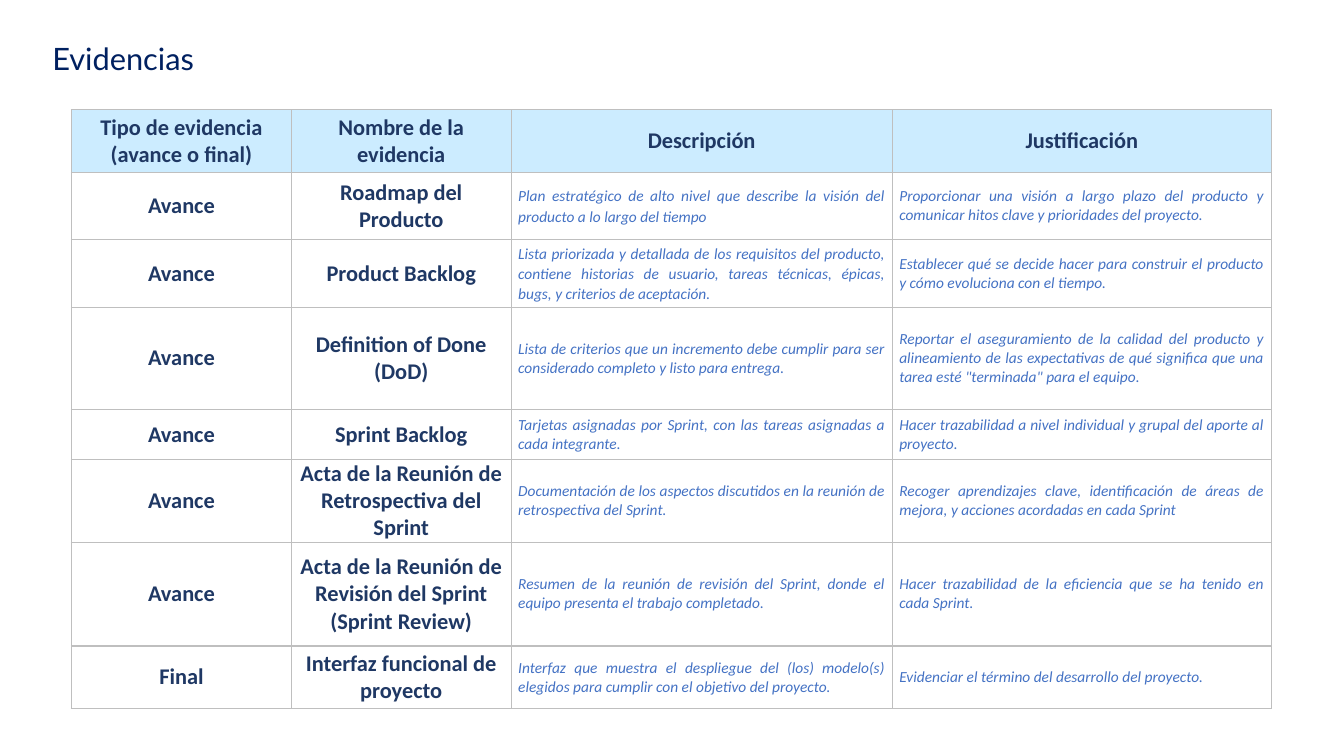
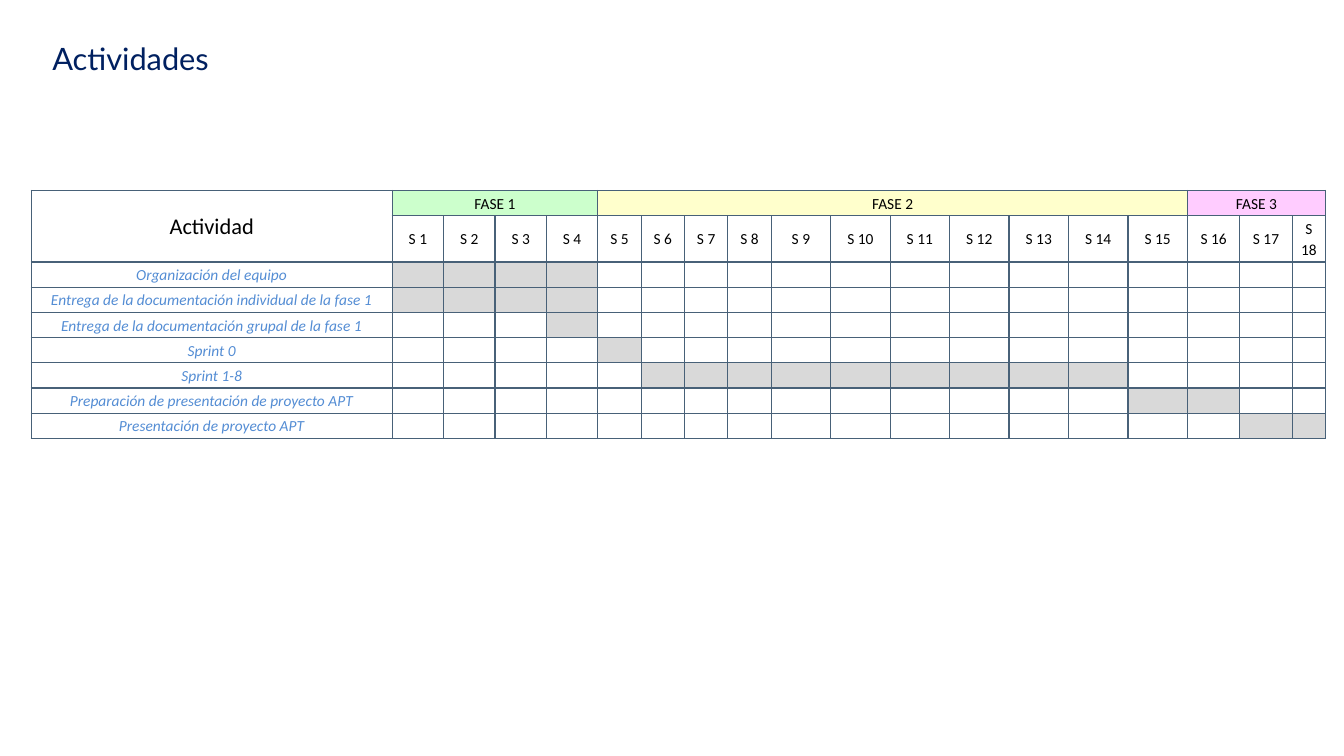
from dataclasses import dataclass

import pptx
import pptx.dml.color
import pptx.enum.text
import pptx.oxml
import pptx.oxml.ns
import pptx.util
from pptx.util import Inches

ALIGN = pptx.enum.text.PP_ALIGN
ANCHOR = pptx.enum.text.MSO_ANCHOR


@dataclass(frozen=True)
class Style:
    size: float
    colour: str
    bold: bool = False
    italic: bool = False
    font: str = "Calibri"
    align: ALIGN = ALIGN.CENTER
    spacing: float = 1.0
    after: float = 0


@dataclass(frozen=True)
class Evidence:
    kind: str
    name: str
    description: str
    reason: str
    height: float
    description_spacing: float = 1.0


@dataclass(frozen=True)
class Span:
    """A named run of weeks, both ends included."""
    name: str
    first: int
    last: int
    fill: str = "D9D9D9"


TITLE = Style(22, "002060", font="Lato", align=ALIGN.LEFT, spacing=0.9)
LABEL = Style(16, "1F3864", bold=True)
DETAIL = Style(11, "4472C4", italic=True, align=ALIGN.JUSTIFY)
LOOSE_DETAIL = Style(11, "4472C4", italic=True, align=ALIGN.JUSTIFY, spacing=1.07, after=8)
PLAN_HEAD = Style(16, "000000", spacing=1.07, after=8)
PLAN_TEXT = Style(11, "000000", spacing=1.07, after=8)
PLAN_TASK = Style(11, "548DD4", italic=True, spacing=1.07, after=8)

HEADERS = ["Tipo de evidencia\n(avance o final)", "Nombre de la evidencia",
           "Descripción", "Justificación"]
HEADER_FILL = "CCECFF"
EVIDENCES = [
    Evidence("Avance", "Roadmap del Producto",
             "Plan estratégico de alto nivel que describe la visión del producto a lo largo "
             "del tiempo",
             "Proporcionar una visión a largo plazo del producto y comunicar hitos clave y "
             "prioridades del proyecto.", 0.67, 1.07),
    Evidence("Avance", "Product Backlog",
             "Lista priorizada y detallada de los requisitos del producto, contiene historias "
             "de usuario, tareas técnicas, épicas, bugs, y criterios de aceptación.",
             "Establecer qué se decide hacer para construir el producto y cómo evoluciona con "
             "el tiempo.", 0.67, 1.07),
    Evidence("Avance", "Definition of Done (DoD)",
             "Lista de criterios que un incremento debe cumplir para ser considerado completo "
             "y listo para entrega.",
             "Reportar el aseguramiento de la calidad del producto y alineamiento de las "
             "expectativas de qué significa que una tarea esté \"terminada\" para el equipo.",
             1.01),
    Evidence("Avance", "Sprint Backlog",
             "Tarjetas asignadas por Sprint, con las tareas asignadas a cada integrante.",
             "Hacer trazabilidad a nivel individual y grupal del aporte al proyecto.", 0.5),
    Evidence("Avance", "Acta de la Reunión de Retrospectiva del Sprint",
             "Documentación de los aspectos discutidos en la reunión de retrospectiva del "
             "Sprint.",
             "Recoger aprendizajes clave, identificación de áreas de mejora, y acciones "
             "acordadas en cada Sprint", 0.82),
    Evidence("Avance", "Acta de la Reunión de Revisión del Sprint (Sprint Review)",
             "Resumen de la reunión de revisión del Sprint, donde el equipo presenta el "
             "trabajo completado.",
             "Hacer trazabilidad de la eficiencia que se ha tenido en cada Sprint.", 1.03),
    Evidence("Final", "Interfaz funcional de proyecto",
             "Interfaz que muestra el despliegue del (los) modelo(s) elegidos para cumplir "
             "con el objetivo del proyecto.",
             "Evidenciar el término del desarrollo del proyecto.", 0.62),
]

PHASES = [Span("FASE 1", 1, 4, "CCFFCC"), Span("FASE 2", 5, 15, "FFFFCC"),
          Span("FASE 3", 16, 18, "FFCCFF")]
ACTIVITIES = [
    Span("Organización del equipo", 1, 4),
    Span("Entrega de la documentación individual de la fase 1", 1, 4),
    Span("Entrega de la documentación grupal de la fase 1", 4, 4),
    Span("Sprint 0", 5, 5),
    Span("Sprint 1-8", 6, 14),
    Span("Preparación de presentación de proyecto APT", 15, 16),
    Span("Presentación de proyecto APT", 17, 18),
]
WEEK_WIDTHS = [0.51] * 4 + [0.43] * 4 + [0.59] * 7 + [0.52] * 2 + [0.33]


def rgb(colour: str) -> pptx.dml.color.RGBColor:
    return pptx.dml.color.RGBColor.from_string(colour)


def write(tf, text: str, style: Style) -> None:
    """Write one paragraph for each line of text."""
    for i, line in enumerate(text.split("\n")):
        p = tf.add_paragraph() if i else tf.paragraphs[0]
        layout = {"alignment": style.align, "line_spacing": style.spacing,
                  "space_after": pptx.util.Pt(style.after)}
        for key, value in layout.items():
            setattr(p, key, value)
        r = p.add_run()
        r.text = line
        look = {"name": style.font, "size": pptx.util.Pt(style.size),
                "bold": style.bold, "italic": style.italic}
        for key, value in look.items():
            setattr(r.font, key, value)
        r.font.color.rgb = rgb(style.colour)


def add_titled_slide(prs, title: str):
    s = prs.slides.add_slide(prs.slide_layouts[6])
    box = s.shapes.add_textbox(Inches(0.42), Inches(0.32), Inches(6.52), Inches(0.49))
    box.text_frame.word_wrap = True
    box.text_frame.vertical_anchor = ANCHOR.BOTTOM
    write(box.text_frame, title, TITLE)
    return s


def set_borders(cell, colour: str) -> None:
    tc_pr = cell._tc.get_or_add_tcPr()
    for side in ("lnL", "lnR", "lnT", "lnB"):
        tc_pr.append(pptx.oxml.parse_xml(
            f'<a:{side} {pptx.oxml.ns.nsdecls("a")} w="12700"><a:solidFill>'
            f'<a:srgbClr val="{colour}"/></a:solidFill></a:{side}>'))


def add_grid(s, left: float, top: float, widths: list[float], heights: list[float],
             border: str, inset: float):
    """Add an unfilled table with a border round every cell."""
    sp = s.shapes.add_table(len(heights), len(widths), Inches(left), Inches(top),
                            Inches(sum(widths)), Inches(sum(heights)))
    table = sp.table
    table.first_row = table.horz_banding = False
    for column, width in zip(table.columns, widths):
        column.width = Inches(width)
    for row, height in zip(table.rows, heights):
        row.height = Inches(height)
    margins = {"margin_left": Inches(inset), "margin_right": Inches(inset),
               "margin_top": 0, "margin_bottom": 0, "vertical_anchor": ANCHOR.MIDDLE}
    for cell in table.iter_cells():
        for key, value in margins.items():
            setattr(cell, key, value)
        set_borders(cell, border)
        cell.fill.background()
    return table


def shade(cell, colour: str) -> None:
    cell.fill.solid()
    cell.fill.fore_color.rgb = rgb(colour)


def shrink_empty(cell) -> None:
    """Keep an empty cell from stretching its row."""
    cell.text_frame.paragraphs[0]._p.append(pptx.oxml.parse_xml(
        f'<a:endParaRPr {pptx.oxml.ns.nsdecls("a")} sz="1100"/>'))


def add_evidence_slide(prs) -> None:
    s = add_titled_slide(prs, "Evidencias")
    heights = [0.62] + [e.height for e in EVIDENCES]
    table = add_grid(s, 0.71, 1.09, [2.18, 2.18, 3.78, 3.76], heights, "BFBFBF", 0.07)
    for col, header in enumerate(HEADERS):
        cell = table.cell(0, col)
        write(cell.text_frame, header, LABEL)
        shade(cell, HEADER_FILL)
    for row, e in enumerate(EVIDENCES, 1):
        described = LOOSE_DETAIL if e.description_spacing > 1 else DETAIL
        entries = [(e.kind, LABEL), (e.name, LABEL), (e.description, described),
                   (e.reason, DETAIL)]
        for col, (text, style) in enumerate(entries):
            write(table.cell(row, col).text_frame, text, style)


def add_plan_slide(prs) -> None:
    s = add_titled_slide(prs, "Actividades")
    heights = [0.25, 0.46] + [0.25] * len(ACTIVITIES)
    table = add_grid(s, 0.31, 1.89, [3.58] + WEEK_WIDTHS, heights, "486178", 0.05)
    table.cell(0, 0).merge(table.cell(1, 0))
    write(table.cell(0, 0).text_frame, "Actividad", PLAN_HEAD)
    for phase in PHASES:
        cell = table.cell(0, phase.first)
        cell.merge(table.cell(0, phase.last))
        write(cell.text_frame, phase.name, PLAN_TEXT)
        shade(cell, phase.fill)
    weeks = range(1, len(WEEK_WIDTHS) + 1)
    for week in weeks:
        write(table.cell(1, week).text_frame, f"S {week}", PLAN_TEXT)
    for row, activity in enumerate(ACTIVITIES, 2):
        write(table.cell(row, 0).text_frame, activity.name, PLAN_TASK)
        for week in weeks:
            cell = table.cell(row, week)
            shrink_empty(cell)
            if activity.first <= week <= activity.last:
                shade(cell, activity.fill)


def main() -> None:
    prs = pptx.Presentation()
    prs.slide_width, prs.slide_height = Inches(13.33), Inches(7.5)
    add_evidence_slide(prs)
    add_plan_slide(prs)
    prs.save("out.pptx")


if __name__ == "__main__":
    main()
